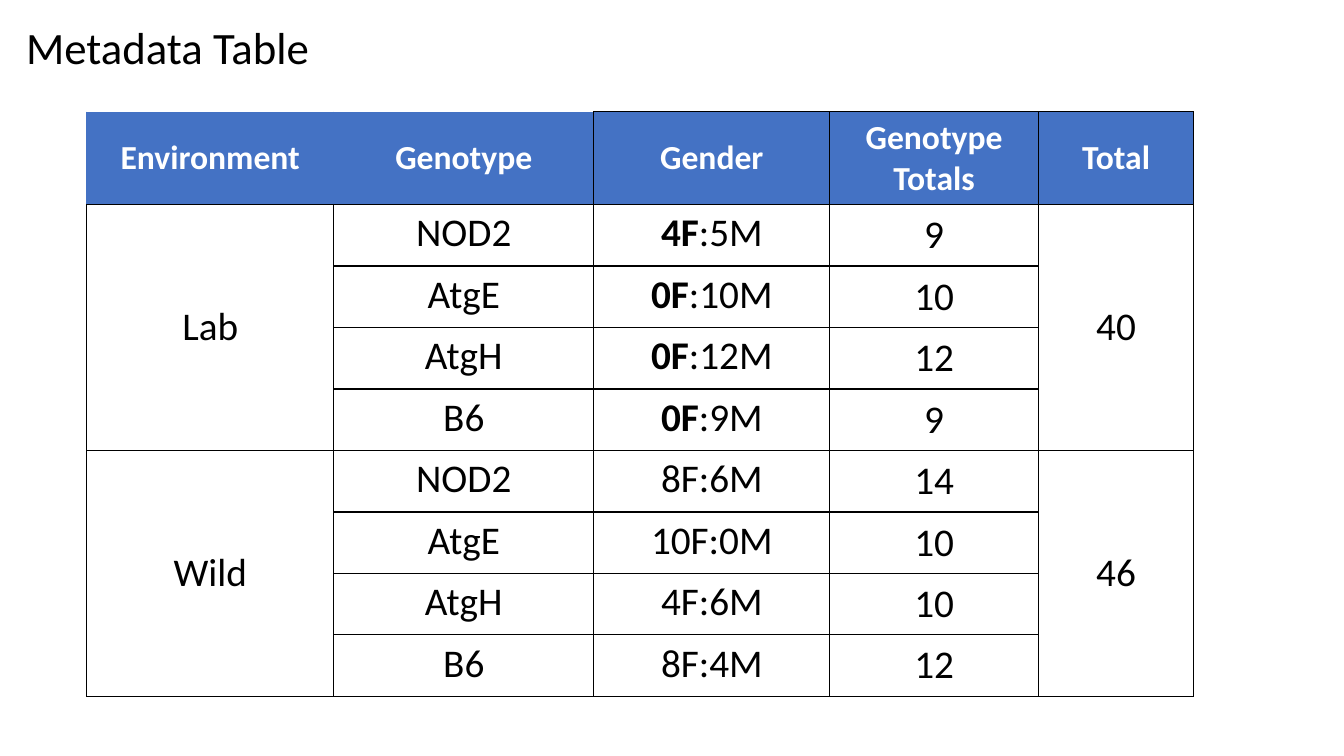
from lxml.etree import SubElement as Sub
from pptx import Presentation
from pptx.dml.color import RGBColor as Rgb
from pptx.enum.text import MSO_ANCHOR as Anchor, MSO_AUTO_SIZE as Auto, PP_ALIGN as Align
from pptx.oxml.ns import qn
from pptx.util import Emu, Pt

PX = 9144
INK = {"text": "000000", "line": "000000", "head": "4472C4", "white": "FFFFFF"}
FONT = "Calibri"
COLS = [245, 258, 234, 207, 154]
HEAD, ROW = 92, 61
NAMES = ["Environment", "Genotype", "Gender", "Genotype Totals", "Total"]
GROUPS = [
    ("Lab", "40", [
        ("NOD2", "4F", ":5M", "9"),
        ("AtgE", "0F", ":10M", "10"),
        ("AtgH", "0F", ":12M", "12"),
        ("B6", "0F", ":9M", "9"),
    ]),
    ("Wild", "46", [
        ("NOD2", "", "8F:6M", "14"),
        ("AtgE", "", "10F:0M", "10"),
        ("AtgH", "", "4F:6M", "10"),
        ("B6", "", "8F:4M", "12"),
    ]),
]


def px(n):
    """Turn px into EMU."""
    return Emu(n * PX)


def add_run(para, text, size, ink="text", bold=False):
    """Add one styled run to a paragraph."""
    run = para.add_run()
    run.text = text
    font = run.font
    font.name, font.size, font.bold = FONT, Pt(size), bold
    font.color.rgb = Rgb.from_string(INK[ink])


def add_edges(cell, blue=""):
    """Draw four cell borders, with the named sides in the header blue."""
    props = cell._tc.get_or_add_tcPr()
    for side in "LRTB":
        ink, width = ("head", 0.5) if side in blue else ("line", 1)
        line = Sub(props, qn(f"a:ln{side}"), w=str(Pt(width)))
        fill = Sub(line, qn("a:solidFill"))
        Sub(fill, qn("a:srgbClr"), val=INK[ink])


def fill_cell(cell, runs, size, ink="text", middle=True):
    """Write centred (text, bold) runs into a cell."""
    cell.vertical_anchor = Anchor.MIDDLE if middle else Anchor.TOP
    para = cell.text_frame.paragraphs[0]
    para.alignment = Align.CENTER
    for text, bold in runs:
        if text:
            add_run(para, text, size, ink, bold)


def add_title(slide, box):
    """Place the slide title in the box."""
    shape = slide.shapes.add_textbox(*map(px, box))
    frame = shape.text_frame
    frame.word_wrap = False
    frame.auto_size = Auto.SHAPE_TO_FIT_TEXT
    add_run(frame.paragraphs[0], "Metadata Table", 32)


def add_head(table):
    """Fill the header row."""
    for col, name in enumerate(NAMES):
        cell = table.cell(0, col)
        add_edges(cell, {0: "LRT", 1: "LT"}.get(col, ""))
        cell.fill.solid()
        cell.fill.fore_color.rgb = Rgb.from_string(INK["head"])
        fill_cell(cell, [(name, True)], 24, "white")


def add_group(table, top, group):
    """Fill one environment's rows, starting at row top."""
    name, total, rows = group
    last = top + len(rows) - 1
    for row, (gene, bold, rest, count) in enumerate(rows, top):
        for col in range(len(COLS)):
            cell = table.cell(row, col)
            add_edges(cell)
            cell.fill.background()
        fill_cell(table.cell(row, 1), [(gene, False)], 28, middle=False)
        fill_cell(table.cell(row, 2), [(bold, True), (rest, False)], 28, middle=False)
        fill_cell(table.cell(row, 3), [(count, False)], 28)
    for col, text in ((0, name), (len(COLS) - 1, total)):
        cell = table.cell(top, col)
        cell.merge(table.cell(last, col))
        fill_cell(cell, [(text, False)], 28)


def add_grid(slide, left, top):
    """Place the metadata table with its corner at left, top."""
    count = sum(len(rows) for _, _, rows in GROUPS)
    size = (sum(COLS), HEAD + count * ROW)
    frame = slide.shapes.add_table(count + 1, len(COLS), *map(px, (left, top, *size)))
    table = frame.table
    table.horz_banding = False
    for col, width in zip(table.columns, COLS):
        col.width = px(width)
    for i, row in enumerate(table.rows):
        row.height = px(ROW if i else HEAD)
    add_head(table)
    start = 1
    for group in GROUPS:
        add_group(table, start, group)
        start += len(group[2])


def main():
    """Build and save the slide."""
    deck = Presentation()
    deck.slide_width, deck.slide_height = px(1333), px(750)
    slide = deck.slides.add_slide(deck.slide_layouts[6])
    add_title(slide, (16, 15, 304, 64))
    add_grid(slide, 86, 111)
    deck.save("out.pptx")


if __name__ == "__main__":
    main()
